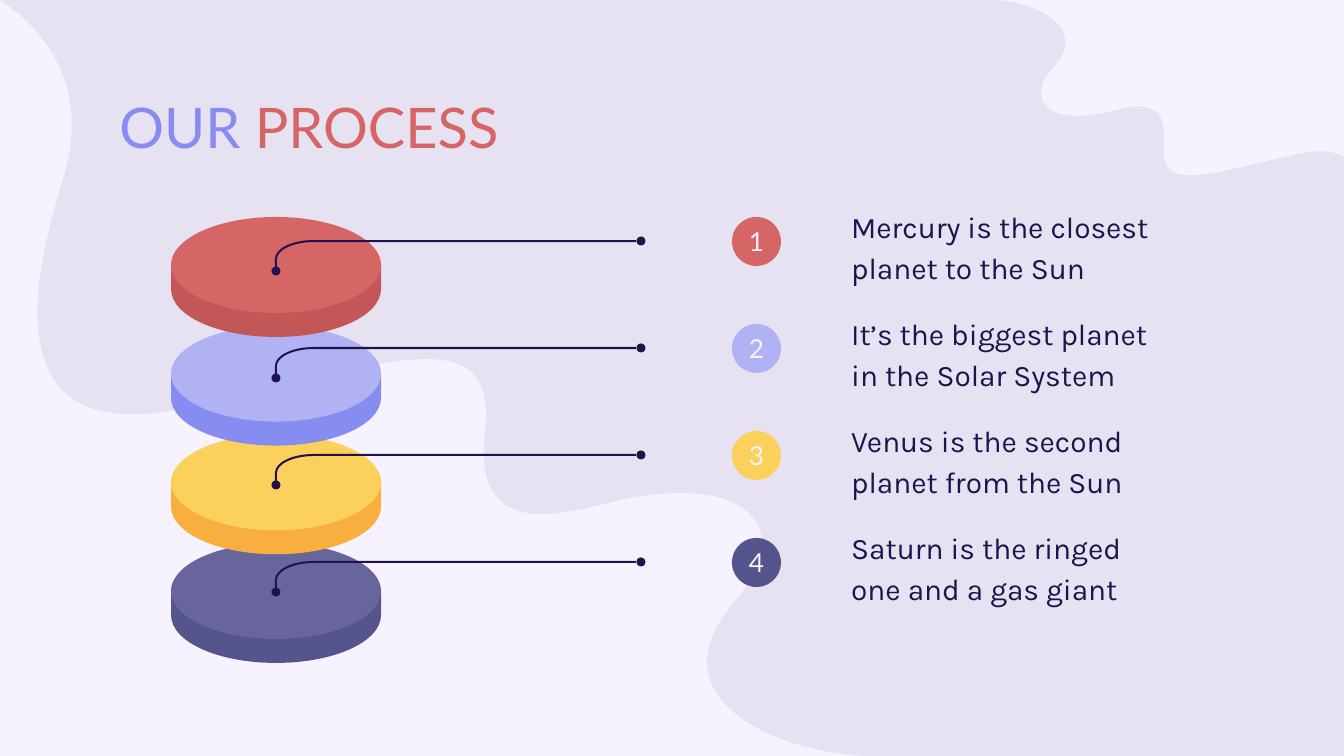
import lxml.etree
import pptx
import pptx.util
import pptx.dml.color
import pptx.enum.shapes
import pptx.enum.text
import pptx.oxml.ns

# Content
TITLE = [("OUR ", "878CF0"), ("PROCESS", "D66565")]
STEPS = [  # text, badge colour, disc top colour, disc side colour
    ("Mercury is the closest planet to the Sun", "D66565", "D66565", "C35757"),
    ("It’s the biggest planet in the Solar System", "B1B2F3", "B1B2F3", "878CF0"),
    ("Venus is the second planet from the Sun", "FBD15B", "FBD15B", "F9AE40"),
    ("Saturn is the ringed one and a gas giant", "56548C", "67659C", "56548C"),
]
PAPER, PALE, INK = "E7E2F2", "F6F2FF", "20124D"

# Outlines: a pair is a straight line to a point, six numbers are a Bézier curve
RIGHT_WAVE = [
    (1349, 254), (1363, 214, 1383, 133, 1293, 155), (1201, 176, 1159, 192, 1164, 142),
    (1168, 97, 1134, 105, 1107, 112), (1087, 117, 1051, 120, 1043, 101),
    (1039, 93, 1040, 82, 1055, 66), (1091, 22, 1025, 0, 993, 0),
    (1378, 0), (1378, 333), (1378, 333, 1333, 309, 1349, 254),
]
LEFT_WAVE = [
    (63, 179), (35, 271, -12, 454, 191, 407), (399, 358, 497, 320, 485, 433),
    (473, 536, 551, 517, 610, 503), (659, 489, 741, 484, 759, 528),
    (766, 546, 761, 571, 731, 606), (649, 707, 797, 757, 871, 756),
    (-1, 756), (-1, 0), (-1, 0, 102, 56, 63, 179),
]
DISC_SIDE = [  # from the middle of its upper edge
    (0, 0), (38, 0, 73, 10, 90, 24), (105, 24), (105, 48),
    (105, 75, 58, 96, 0, 96), (-58, 96, -105, 75, -105, 48),
    (-105, 24), (-90, 24), (-73, 10, -38, 0, 0, 0),
]
LEADER = [(636, 0), (314, 0), (293, 0, 276, 8, 276, 18), (276, 30)]

# Layout in px
WIDTH, HEIGHT = 1344, 756
SCALE = pptx.util.Inches(10) / WIDTH
TITLE_BOX = (106, 79, 1133, 85)
DISC_X, DISC_W, DISC_H, DISC_DEPTH = 276, 210, 96, 24
FIRST_DISC, LAST_DISC = 217, 543
DISC_STEP = (LAST_DISC - FIRST_DISC) / (len(STEPS) - 1)
ROW_STEP, LEADER_Y, LEADER_END, DOT = 107, 241, 641, 9
BADGE_X, BADGE_Y, BADGE = 732, 217, 49
TEXT_X, TEXT_Y, TEXT_W, TEXT_H = 838, 190, 335, 103
INSET = pptx.util.Inches(0.1)


def px(value):
    return round(value * SCALE)


def rgb(code):
    return pptx.dml.color.RGBColor.from_string(code)


def apply(target, **values):
    for name, value in values.items():
        setattr(target, name, value)


def paint(shape, color):
    shape.shadow.inherit = False
    shape.fill.solid()
    shape.fill.fore_color.rgb = rgb(color)
    shape.line.fill.background()


def add_outline(page, outline, left=0, top=0, closed=True):
    points = [(px(segment[i] + left), px(segment[i + 1] + top))
              for segment in outline for i in range(0, len(segment), 2)]
    builder = page.shapes.build_freeform(*points[0], scale=1.0)
    builder.add_line_segments(points[1:], close=closed)
    shape = builder.convert_to_shape()

    # Gather the three points of each curve into one Bézier segment
    qn = pptx.oxml.ns.qn
    lines = iter(list(shape._element.iter(qn("a:lnTo"))))
    for segment in outline[1:]:
        line = next(lines)
        if len(segment) == 6:
            curve = lxml.etree.Element(qn("a:cubicBezTo"))
            line.addprevious(curve)
            for part in (line, next(lines), next(lines)):
                curve.append(part[0])
                part.getparent().remove(part)
    return shape


def add_oval(page, left, top, width, height, color):
    oval = page.shapes.add_shape(pptx.enum.shapes.MSO_SHAPE.OVAL,
                                 *map(px, (left, top, width, height)))
    paint(oval, color)
    return oval


def write(box, spans, font, size, anchor="TOP", align="LEFT", inset=INSET, **spacing):
    frame = box.text_frame
    apply(frame, word_wrap=True, auto_size=pptx.enum.text.MSO_AUTO_SIZE.NONE,
          vertical_anchor=pptx.enum.text.MSO_ANCHOR[anchor],
          margin_left=inset, margin_right=inset, margin_top=inset, margin_bottom=inset)
    para = frame.paragraphs[0]
    apply(para, alignment=pptx.enum.text.PP_ALIGN[align], **spacing)
    for text, color in spans:
        span = para.add_run()
        span.text = text
        apply(span.font, name=font, size=pptx.util.Pt(size), bold=False)
        span.font.color.rgb = rgb(color)


def main():
    deck = pptx.Presentation()
    apply(deck, slide_width=px(WIDTH), slide_height=px(HEIGHT))
    page = deck.slides.add_slide(deck.slide_layouts[5])
    page.background.fill.solid()
    page.background.fill.fore_color.rgb = rgb(PAPER)

    # Background waves
    for wave in (RIGHT_WAVE, LEFT_WAVE):
        paint(add_outline(page, wave), PALE)

    # Title, brought in front of the waves
    title = page.shapes.title
    apply(title, **dict(zip(("left", "top", "width", "height"), map(px, TITLE_BOX))))
    write(title, TITLE, "Lato", 30)
    page.shapes._spTree.append(title._element)

    # Numbered badges
    for row, (_, badge_color, _, _) in enumerate(STEPS):
        badge = add_oval(page, BADGE_X, BADGE_Y + row * ROW_STEP, BADGE, BADGE, badge_color)
        write(badge, [(str(row + 1), PALE)], "Lato", 14, "MIDDLE", "CENTER", inset=0)

    # Stack of discs, lowest first
    for row, (_, _, top_color, side_color) in reversed(list(enumerate(STEPS))):
        top = FIRST_DISC + row * DISC_STEP
        paint(add_outline(page, DISC_SIDE, DISC_X, top + DISC_DEPTH), side_color)
        add_oval(page, DISC_X - DISC_W / 2, top, DISC_W, DISC_H, top_color)

    for row, (text, _, _, _) in enumerate(STEPS):
        offset = row * ROW_STEP

        # Leader line with a dot at each end
        y = LEADER_Y + offset
        leader = add_outline(page, LEADER, top=y, closed=False)
        leader.shadow.inherit = False
        leader.fill.background()
        leader.line.color.rgb = rgb(INK)
        leader.line.width = pptx.util.Pt(1.08)
        for dot_x, dot_y in ((DISC_X, y + LEADER[-1][1]), (LEADER_END, y)):
            add_oval(page, dot_x - DOT / 2, dot_y - DOT / 2, DOT, DOT, INK)

        # Description
        box = page.shapes.add_textbox(*map(px, (TEXT_X, TEXT_Y + offset, TEXT_W, TEXT_H)))
        write(box, [(text, INK)], "Karla", 16,
              line_spacing=1.15, space_after=pptx.util.Pt(16))

    deck.save("out.pptx")


if __name__ == "__main__":
    main()
